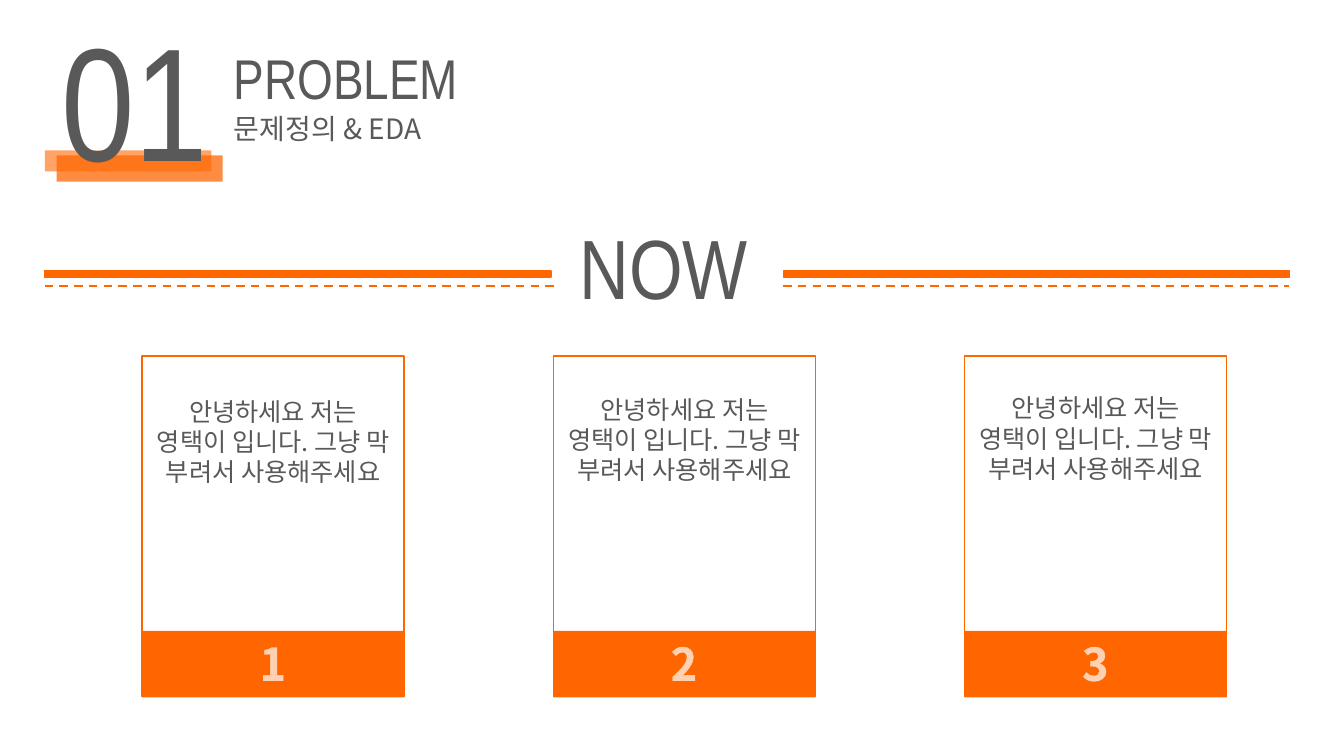
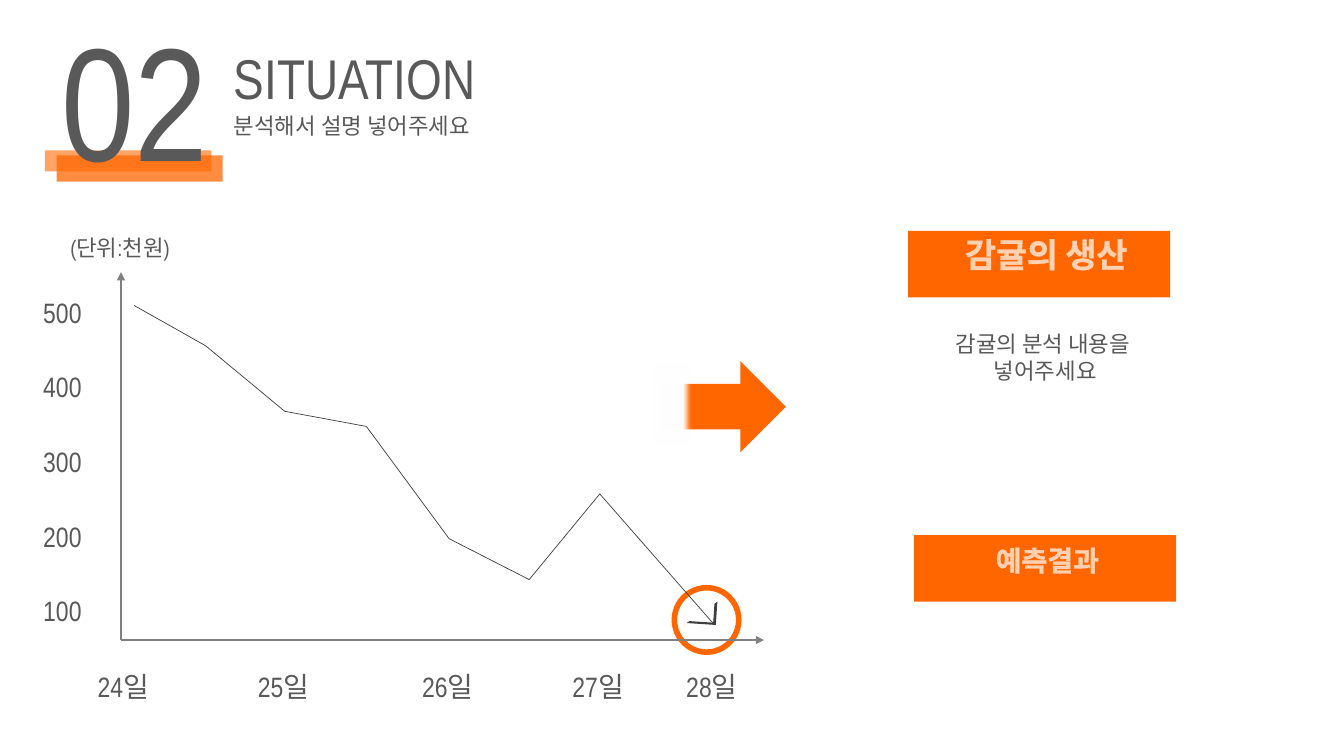
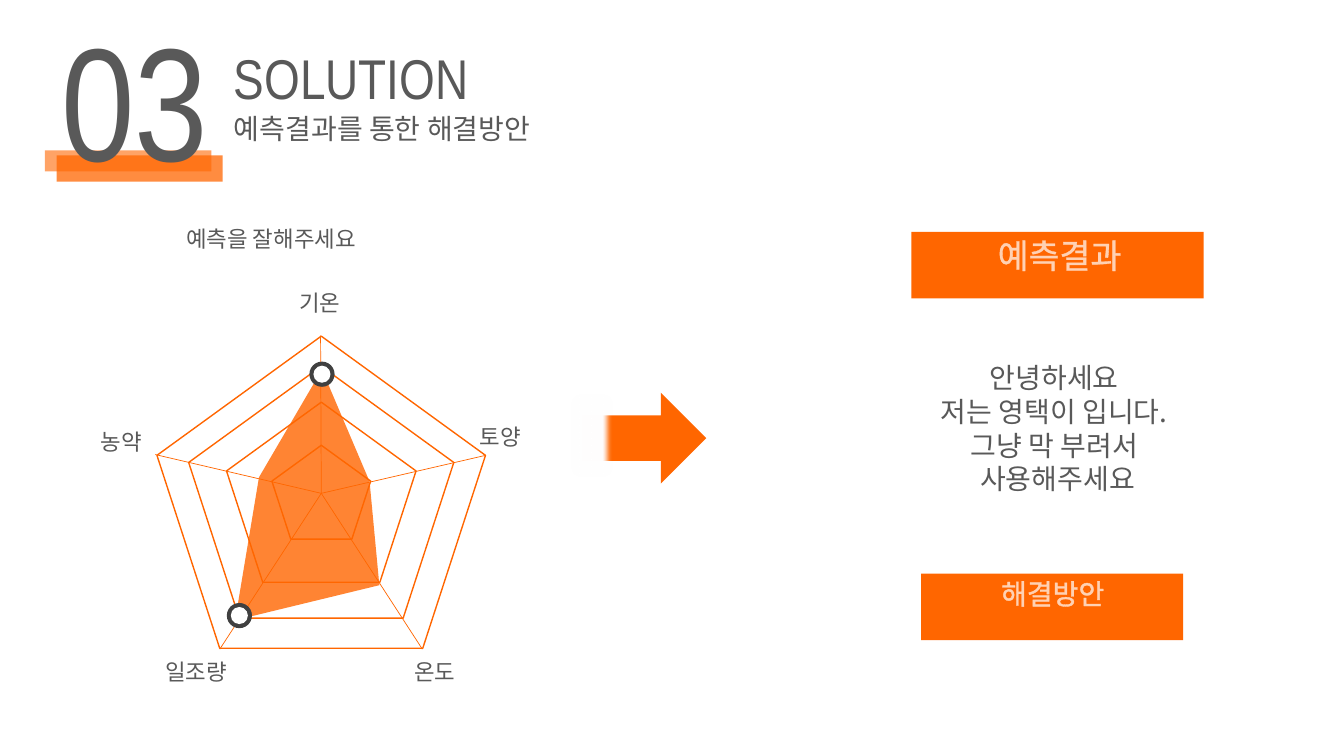
from lxml.etree import SubElement
from pptx import Presentation
from pptx.dml.color import RGBColor
from pptx.enum.dml import MSO_LINE_DASH_STYLE as Dash
from pptx.enum.shapes import MSO_CONNECTOR_TYPE as Connector, MSO_SHAPE as Shape
from pptx.enum.text import MSO_AUTO_SIZE as AutoSize, PP_ALIGN as Align
from pptx.oxml.ns import qn
from pptx.util import Pt

COLORS = {
    "accent": "FF6600",
    "text": "595959",
    "ink": "404040",
    "axis": "808080",
    "white": "FFFFFF",
}
LATIN = "Arial Narrow"
KOREAN = "Noto Sans CJK KR"


def rgb(name):
    """Return the named palette colour."""
    return RGBColor.from_string(COLORS[name])


def add_text(slide, text, box, size=16, font=KOREAN, color="text", outline="ink",
             bold=False, align=Align.LEFT):
    """Add a text box, one paragraph per line of text."""
    text_box = slide.shapes.add_textbox(*map(Pt, box))
    frame = text_box.text_frame
    frame.word_wrap = True
    frame.auto_size = AutoSize.SHAPE_TO_FIT_TEXT
    for index, line in enumerate(text.split("\n")):
        paragraph = frame.paragraphs[0] if index == 0 else frame.add_paragraph()
        paragraph.alignment = align
        run = paragraph.add_run()
        run.text = line
        run.font.size = Pt(size)
        run.font.bold = bold
        run.font.name = font
        run.font.color.rgb = rgb(color)
        properties = run._r.get_or_add_rPr()
        SubElement(properties, qn("a:ea"), typeface=font)
        edge = SubElement(properties, qn("a:ln"), w=str(Pt(0.75)))
        fill = SubElement(edge, qn("a:solidFill"))
        tint = SubElement(fill, qn("a:srgbClr"), val=COLORS[outline])
        SubElement(tint, qn("a:alpha"), val="70000")
        properties.insert(0, edge)


def paint(shape, fill=None, opacity=100, line=None, width=1):
    """Set the fill and outline of a shape and drop its shadow."""
    shape.shadow.inherit = False
    if fill:
        shape.fill.solid()
        shape.fill.fore_color.rgb = rgb(fill)
        if opacity < 100:
            tint = shape._element.spPr.find(qn("a:solidFill"))[0]
            SubElement(tint, qn("a:alpha"), val=str(opacity * 1000))
    else:
        shape.fill.background()
    if line:
        shape.line.color.rgb = rgb(line)
        shape.line.width = Pt(width)
    else:
        shape.line.fill.background()


def add_shape(slide, kind, box, rotation=0, **style):
    """Add a painted preset shape."""
    shape = slide.shapes.add_shape(kind, *map(Pt, box))
    shape.rotation = rotation
    paint(shape, **style)
    return shape


def add_disc(slide, center, diameter, **style):
    """Add a circle around a centre point."""
    x, y = center
    box = (x - diameter / 2, y - diameter / 2, diameter, diameter)
    add_shape(slide, Shape.OVAL, box, **style)


def add_line(slide, start, end, color, width, dash=None, arrow=False):
    """Add a straight line, dashed or with an arrowhead if asked."""
    line = slide.shapes.add_connector(Connector.STRAIGHT, *map(Pt, (*start, *end)))
    line.line.color.rgb = rgb(color)
    line.line.width = Pt(width)
    if dash:
        line.line.dash_style = dash
    if arrow:
        SubElement(line.line._get_or_add_ln(), qn("a:tailEnd"), type="triangle")
    SubElement(line._element.spPr, qn("a:effectLst"))


def add_header(slide, number, title, subtitle, subtitle_size=20):
    """Add the section number on its bands, the title and the subtitle."""
    add_shape(slide, Shape.RECTANGLE, (40.5, 111, 118.5, 18.7), fill="accent", opacity=75)
    add_shape(slide, Shape.RECTANGLE, (32, 107.5, 119, 15), fill="accent", opacity=60)
    add_text(slide, number, (36.7, -2.9, 172.8, 146.9), size=115, font=LATIN)
    add_text(slide, title, (160, 27.4, 240, 55.4), size=40, font=LATIN)
    add_text(slide, subtitle, (160, 76.3, 420, 31.7), size=subtitle_size)


def add_label(slide, text, band, text_box, size, bold=False):
    """Add an accent band with a white caption."""
    add_shape(slide, Shape.RECTANGLE, band, fill="accent")
    add_text(slide, text, text_box, size=size, color="white", outline="white",
             bold=bold, align=Align.CENTER)


def add_fading_arrow(slide, left, top):
    """Add a right-pointing arrow whose tail fades to white."""
    add_shape(slide, Shape.DOWN_ARROW, (left, top, 65, 88.6), rotation=270, fill="accent")
    fade = add_shape(slide, Shape.RECTANGLE, (left - 36, top + 26, 62.6, 33),
                     rotation=270, fill="white", line="white")
    effects = fade._element.spPr.find(qn("a:effectLst"))
    SubElement(effects, qn("a:softEdge"), rad=str(Pt(5)))


def build_problem(slide):
    """Build the slide with three numbered cards."""
    add_header(slide, "01", "PROBLEM", "문제정의 & EDA ")
    for left, dash_end in ((32, 399), (559.5, 921)):
        add_shape(slide, Shape.RECTANGLE, (left, 193.7, 361.5, 4.3),
                  fill="accent", line="accent")
        add_line(slide, (left, 204.5), (dash_end, 204.5), "accent", 1.5, dash=Dash.DASH)
    add_text(slide, "NOW", (406.8, 150.5, 166.3, 80), size=60, font=LATIN)
    message = "안녕하세요 저는 영택이 입니다. 그냥 막 부려서 사용해주세요"
    for index, message_top in enumerate((279.5, 278, 277)):
        left = 101.5 + index * 293.8
        add_label(slide, str(index + 1), (left, 450.7, 187.2, 47.5),
                  (left + 4, 450.7, 178.6, 46), 32, bold=True)
        add_shape(slide, Shape.RECTANGLE, (left, 254.2, 187.2, 243.4), line="accent")
        add_text(slide, message, (left, message_top, 187.2, 94.3), size=18,
                 align=Align.CENTER)


def add_trend(slide):
    """Add the hand-drawn trend line with its axes and tick labels."""
    add_disc(slide, (504.7, 442.8), 46, fill="white", line="accent", width=4)
    origin = (86.4, 457.2)
    for end in ((86.4, 194.4), (545.8, 457.2)):
        add_line(slide, origin, end, "axis", 1.75, arrow=True)
    points = [(95.8, 218.2), (146.9, 247), (203.4, 293.8), (261.7, 304.6),
              (320.8, 384.8), (378, 414), (428.4, 352.8), (509.8, 445.7)]
    for start, end in zip(points, points[1:]):
        add_line(slide, start, end, "ink", 0.5)
    tip = add_shape(slide, Shape.HALF_FRAME, (491, 429.1, 20.9, 16.6),
                    rotation=183.8, fill="ink")
    tip.adjustments[0] = 0.091
    tip.adjustments[1] = 0.121
    for day, left in zip(range(24, 29), (62.6, 177.1, 294.5, 401.8, 483.1)):
        add_text(slide, f"{day}일", (left, 474.5, 67, 31.7), size=20, font=LATIN)
    for index, value in enumerate(range(500, 0, -100)):
        add_text(slide, str(value), (23.8, 207.4 + index * 53.3, 67, 31.7),
                 size=20, font=LATIN)
    add_text(slide, "(단위:천원)", (43.2, 163.4, 124.6, 26.6), font=LATIN)


def build_situation(slide):
    """Build the slide with the trend and its findings."""
    add_header(slide, "02", "SITUATION", "분석해서 설명 넣어주세요", subtitle_size=16)
    add_trend(slide)
    add_fading_arrow(slide, 484.6, 246.2)
    add_label(slide, "감귤의 생산", (648.7, 165, 187.2, 47.5),
              (658, 163.4, 178.6, 36), 24, bold=True)
    add_text(slide, "감귤의 분석 내용을 \n넣어주세요", (579.6, 232.6, 334, 46),
             align=Align.CENTER)
    add_label(slide, "예측결과", (653, 382.3, 187.2, 47.5),
              (658.8, 384.5, 178.6, 31.7), 20, bold=True)


def add_radar(slide):
    """Add the five-axis radar with its rings, labels, area and markers."""
    center_x, center_y = 229.5, 351.6
    for width in (234.7, 189.4, 135.4, 70.6):
        height = width * 0.95
        box = (center_x - width / 2, center_y - height / 2, width, height)
        add_shape(slide, Shape.REGULAR_PENTAGON, box, line="accent")
    labels = (("농약", 64.8, 302.4), ("일조량", 110.9, 466.6), ("온도", 288.7, 466.6),
              ("토양", 335.5, 298.8), ("기온", 206.6, 203))
    for text, left, top in labels:
        add_text(slide, text, (left, top, 72, 26.6), font=LATIN)
    corners = ((229, 239.8), (346.3, 325.4), (301.7, 463.7), (157, 463.7), (110.9, 324.7))
    for corner in corners:
        add_line(slide, (center_x, 352.4), corner, "accent", 0.5)
    area = [(230.4, 263.5), (263.5, 344.2), (271.4, 418.3), (168.5, 442.8), (185, 341.3)]
    builder = slide.shapes.build_freeform(*area[0], scale=Pt(1))
    builder.add_line_segments(area[1:], close=True)
    paint(builder.convert_to_shape(), fill="accent", opacity=80)
    for marker in ((171, 439.7), (230, 267.3)):
        add_disc(slide, marker, 18, fill="ink")
        add_disc(slide, marker, 12.2, fill="white")


def build_solution(slide):
    """Build the slide with the radar and the proposed solution."""
    add_fading_arrow(slide, 427.7, 268.6)
    add_header(slide, "03", "SOLUTION", "예측결과를 통한 해결방안")
    add_radar(slide)
    add_label(slide, "예측결과 ", (651, 165.6, 208.8, 47.5), (659.5, 164.2, 200, 36), 24)
    add_text(slide, "안녕하세요 \n저는 영택이 입니다. \n그냥 막 부려서 \n사용해주세요",
             (561.6, 254.2, 387.4, 128), size=20, align=Align.CENTER)
    add_label(slide, "해결방안", (658, 409.7, 187.2, 47.5), (641.5, 408.2, 221, 31.7), 20)
    add_text(slide, "예측을 잘해주세요", (126, 157, 267, 26.6))


def main():
    """Build and save the presentation."""
    presentation = Presentation()
    presentation.slide_width = Pt(960)
    presentation.slide_height = Pt(540)
    for build in (build_problem, build_situation, build_solution):
        build(presentation.slides.add_slide(presentation.slide_layouts[6]))
    presentation.save("out.pptx")


main()
